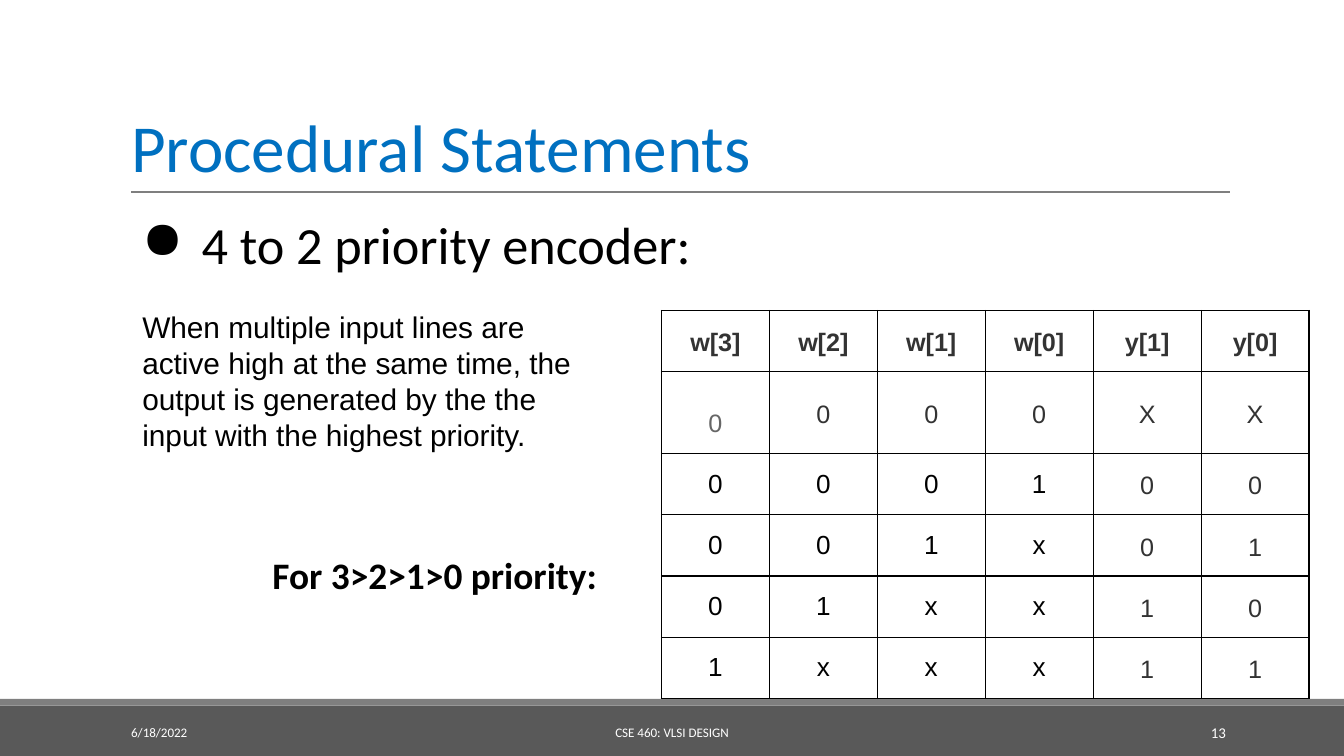
from lxml import etree
from pptx import Presentation
from pptx.dml.color import RGBColor
from pptx.enum.shapes import MSO_CONNECTOR, MSO_SHAPE
from pptx.enum.text import MSO_ANCHOR, PP_ALIGN
from pptx.oxml.ns import qn
from pptx.util import Cm, Pt

LEFT, CENTER, RIGHT = PP_ALIGN.LEFT, PP_ALIGN.CENTER, PP_ALIGN.RIGHT
TOP, MIDDLE, BOTTOM = MSO_ANCHOR.TOP, MSO_ANCHOR.MIDDLE, MSO_ANCHOR.BOTTOM
RECTANGLE, STRAIGHT = MSO_SHAPE.RECTANGLE, MSO_CONNECTOR.STRAIGHT

COLORS = {
    "title": "0070C0",
    "text": "000000",
    "cell": "333333",
    "faded": "666666",
    "white": "FFFFFF",
    "bar": "595959",
    "strip": "7F7F7F",
}
TRUTH_TABLE = [
    ["w[3]", "w[2]", "w[1]", "w[0]", "y[1]", "y[0]"],
    ["0", "0", "0", "0", "X", "X"],
    ["0", "0", "0", "1", "0", "0"],
    ["0", "0", "1", "x", "0", "1"],
    ["0", "1", "x", "x", "1", "0"],
    ["1", "x", "x", "x", "1", "1"],
]
INPUT_COUNT = 4
WIDE_INSETS = (0.25, 0.25)
TIGHT_INSETS = (0.19, 0.1)


def color(name):
    """Return the named colour."""
    return RGBColor.from_string(COLORS[name])


def write_text(frame, text, size, font="Calibri", fill="text", bold=False,
               align=LEFT, spacing=1.0):
    """Write one formatted paragraph into a text frame and return it."""
    paragraph = frame.paragraphs[0]
    paragraph.alignment = align
    paragraph.line_spacing = spacing
    run = paragraph.add_run()
    run.text = text
    run.font.size = Pt(size)
    run.font.name = font
    run.font.bold = bold
    run.font.color.rgb = color(fill)
    return paragraph


def add_text(slide, box, text, size, anchor=TOP, insets=WIDE_INSETS, **style):
    """Add a wrapped text box and return its paragraph."""
    frame = slide.shapes.add_textbox(*map(Cm, box)).text_frame
    frame.word_wrap = True
    frame.vertical_anchor = anchor
    frame.margin_left = frame.margin_right = Cm(insets[0])
    frame.margin_top = frame.margin_bottom = Cm(insets[1])
    return write_text(frame, text, size, **style)


def add_bar(slide, box, fill):
    """Add a plain filled rectangle."""
    shape = slide.shapes.add_shape(RECTANGLE, *map(Cm, box))
    shape.shadow.inherit = False
    shape.fill.solid()
    shape.fill.fore_color.rgb = color(fill)
    shape.line.fill.background()


def add_bullet(paragraph, character):
    """Give a paragraph a black bullet with a hanging indent."""
    properties = paragraph._p.get_or_add_pPr()
    properties.set("marL", str(Cm(1.27)))
    properties.set("indent", str(-Cm(1.13)))
    bullet_color = etree.SubElement(properties, qn("a:buClr"))
    etree.SubElement(bullet_color, qn("a:srgbClr"), val=COLORS["text"])
    etree.SubElement(properties, qn("a:buChar"), char=character)


def add_borders(cell):
    """Draw thin black lines on all sides of a cell."""
    properties = cell._tc.get_or_add_tcPr()
    for side in ("lnL", "lnR", "lnT", "lnB"):
        line = etree.SubElement(properties, qn(f"a:{side}"), w=str(Pt(0.75)))
        fill = etree.SubElement(line, qn("a:solidFill"))
        etree.SubElement(fill, qn("a:srgbClr"), val=COLORS["text"])


def add_header(slide, box):
    """Place the title with the rule along its lower edge."""
    left, top, width, height = box
    add_text(slide, box, "Procedural Statements", 36, anchor=BOTTOM,
             insets=TIGHT_INSETS, fill="title", spacing=0.85)
    bottom = Cm(top + height)
    rule = slide.shapes.add_connector(
        STRAIGHT, Cm(left + 0.19), bottom, Cm(left + width), bottom)
    rule.line.color.rgb = color("strip")
    rule.line.width = Pt(0.75)
    etree.SubElement(rule._element.spPr, qn("a:effectLst"))


def add_footer(slide, box):
    """Place the two bars with date, course and slide number."""
    left, top, width, height = box
    strip = 0.13
    add_bar(slide, (left, top + strip, width, height - strip), "bar")
    add_bar(slide, (left, top, width, strip), "strip")
    labels = [
        (2.29, 5.16, "6/18/2022", 7, LEFT),
        (7.67, 10.06, "CSE 460: VLSI DESIGN", 7, CENTER),
        (20.62, 2.74, "13", 8, RIGHT),
    ]
    for offset, label_width, text, size, align in labels:
        add_text(slide, (left + offset, top + 0.26, label_width, 0.76), text,
                 size, anchor=MIDDLE, insets=TIGHT_INSETS, fill="white",
                 align=align)


def add_explanation(slide, box):
    """Place the bulleted heading, the description and the table caption."""
    left, top, width, height = box
    heading = add_text(slide, (left, top, width, 1.7),
                       "4 to 2 priority encoder:", 28)
    add_bullet(heading, "●")
    add_text(slide, (left + 0.15, top + 1.83, 9.19, 3.25),
             "When multiple input lines are active high at the same time, "
             "the output is generated by the the input with the highest "
             "priority.", 16, font="Arial")
    add_text(slide, (left + 2.61, top + height - 1.37, 6.76, 1.37),
             "For 3>2>1>0 priority:", 20, bold=True)


def cell_style(row, column):
    """Return the text format of a truth table cell."""
    if row > 1 and column < INPUT_COUNT:
        return {"size": 14}
    if (row, column) == (1, 0):
        return {"size": 13.5, "fill": "faded", "spacing": 1.83}
    return {"size": 13.5, "fill": "cell", "spacing": 1.15, "bold": row == 0}


def add_truth_table(slide, box):
    """Place the truth table of the encoder."""
    rows, columns = len(TRUTH_TABLE), len(TRUTH_TABLE[0])
    table = slide.shapes.add_table(rows, columns, *map(Cm, box)).table
    table.first_row = table.horz_banding = False
    for row, values in enumerate(TRUTH_TABLE):
        for column, value in enumerate(values):
            cell = table.cell(row, column)
            add_borders(cell)
            cell.fill.background()
            cell.vertical_anchor = MIDDLE
            cell.margin_left = cell.margin_right = Cm(WIDE_INSETS[0])
            cell.margin_top = cell.margin_bottom = Cm(WIDE_INSETS[1])
            write_text(cell.text_frame, value, font="Arial", align=CENTER,
                       **cell_style(row, column))


def main():
    """Build and save the slide."""
    presentation = Presentation()
    presentation.slide_width, presentation.slide_height = Cm(25.4), Cm(14.29)
    slide = presentation.slides.add_slide(presentation.slide_layouts[6])
    add_footer(slide, (0, 13.21, 25.4, 1.08))
    add_header(slide, (2.29, 0.61, 20.96, 3.02))
    add_explanation(slide, (2.29, 3.76, 21.89, 7.8))
    add_truth_table(slide, (12.5, 5.87, 12.24, 6.42))
    presentation.save("out.pptx")


if __name__ == "__main__":
    main()
